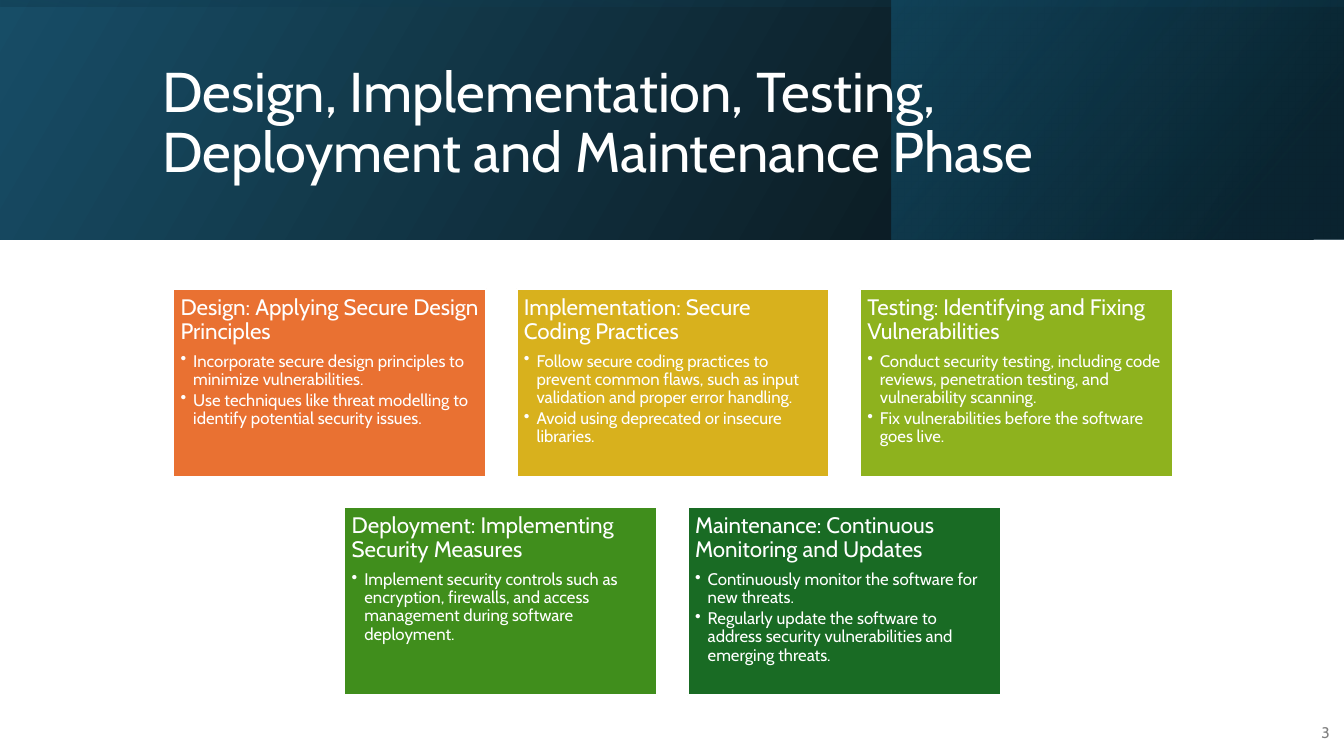
from pptx import Presentation
from pptx import util as u
from pptx.dml.color import RGBColor
from pptx.enum import shapes, text
from pptx.oxml.ns import qn
from lxml import etree

PX = 9525  # EMU in one px, 96 px to the inch
FONT = "Cabin"
COLORS = {
    "white": "FFFFFF", "grey": "808080", "black": "000000",
    "navy": "104862", "deep": "0B3041", "teal": "156082",
    "orange": "E97132", "gold": "D8B11D", "lime": "8EB21E",
    "green": "408E1C", "forest": "196B24",
}
PHASES = [
    [
        ("orange", "Design: Applying Secure Design Principles", [
            "Incorporate secure design principles to minimize vulnerabilities.",
            "Use techniques like threat modelling to identify potential security issues."]),
        ("gold", "Implementation: Secure Coding Practices", [
            "Follow secure coding practices to prevent common flaws, "
            "such as input validation and proper error handling.",
            "Avoid using deprecated or insecure libraries."]),
        ("lime", "Testing: Identifying and Fixing Vulnerabilities", [
            "Conduct security testing, including code reviews, "
            "penetration testing, and vulnerability scanning.",
            "Fix vulnerabilities before the software goes live."]),
    ],
    [
        ("green", "Deployment: Implementing Security Measures", [
            "Implement security controls such as encryption, firewalls, "
            "and access management during software deployment."]),
        ("forest", "Maintenance: Continuous Monitoring and Updates", [
            "Continuously monitor the software for new threats.",
            "Regularly update the software to address security vulnerabilities "
            "and emerging threats."]),
    ],
]


def color(name):
    return RGBColor.from_string(COLORS[name])


def px(*lengths):
    return [u.Emu(round(length * PX)) for length in lengths]


def add_rect(page, box):
    rect = page.shapes.add_shape(shapes.MSO_SHAPE.RECTANGLE, *px(*box))
    rect.shadow.inherit = False
    return rect


def add_text_box(page, box):
    frame = page.shapes.add_textbox(*px(*box)).text_frame
    frame.word_wrap = True
    frame.vertical_anchor = text.MSO_ANCHOR.MIDDLE
    return frame


def write(para, words, size, ink="white", align="LEFT", line=1.0, after=0, bullet=False):
    if bullet:
        props = para._p.get_or_add_pPr()
        indent = 12 * PX
        props.set("marL", str(indent))
        props.set("indent", str(-indent))
        etree.SubElement(props, qn("a:buChar")).set("char", "•")
    para.alignment = text.PP_ALIGN[align]
    para.line_spacing = line
    para.space_after = u.Pt(after)
    span = para.add_run()
    span.text = words
    span.font.size = u.Pt(size)
    span.font.name = FONT
    span.font.color.rgb = color(ink)


def add_gradient_rect(page, box, stops, angle, rotation=0):
    """Mirrored rectangle; stops are (position %, colour, opacity %), angle is clockwise."""
    rect = add_rect(page, box)
    rect.line.fill.background()
    rect.rotation = rotation
    rect._element.spPr.find(qn("a:xfrm")).set("flipH", "1")
    rect.fill.gradient()
    rect.fill.gradient_angle = 360 - angle
    for stop, (position, name, opacity) in zip(rect.fill.gradient_stops, stops):
        stop.position = position / 100
        stop.color.rgb = color(name)
    tones = rect._element.spPr.iter(qn("a:srgbClr"))
    for tone, (position, name, opacity) in zip(list(tones), stops):
        etree.SubElement(tone, qn("a:alpha")).set("val", str(opacity * 1000))


def add_header(page, box):
    left, top, width, height = box
    # Layered gradients
    add_gradient_rect(page, box, [(0, "black", 96), (100, "navy", 96)], 330)
    add_gradient_rect(page, (left + 849, top, 430, height),
                      [(19, "deep", 68), (100, "teal", 48)], 320)
    # A quarter turn about the band's centre swaps width and height
    shift = (width - height) / 2
    add_gradient_rect(page, (left + shift, top - shift, height, width),
                      [(23, "navy", 16), (99, "black", 45)], 350, rotation=270)
    # Title
    frame = add_text_box(page, (left + 145, top + 36, 1020, 165))
    write(frame.paragraphs[0],
          "Design, Implementation, Testing, Deployment and Maintenance Phase",
          40, line=0.9)


def add_card(page, box, fill, heading, points):
    card = add_rect(page, box)
    card.fill.solid()
    card.fill.fore_color.rgb = color(fill)
    card.line.color.rgb = color("white")
    card.line.width = u.Pt(1.5)
    frame = card.text_frame
    frame.word_wrap = True
    frame.vertical_anchor = text.MSO_ANCHOR.TOP
    inset, = px(7)
    frame.margin_left = frame.margin_top = inset
    frame.margin_right = frame.margin_bottom = inset
    write(frame.paragraphs[0], heading, 16, line=0.9, after=6)
    for point in points:
        write(frame.add_paragraph(), point, 12, line=0.9, after=2, bullet=True)


def add_card_grid(page, box):
    """Rows of equal cards, each row centred in the box."""
    left, top, width, height = box
    gap, columns = 29, max(len(row) for row in PHASES)
    card_width = (width - gap * (columns - 1)) // columns
    card_height = (height - gap * (len(PHASES) - 1)) // len(PHASES)
    for row_index, row in enumerate(PHASES):
        row_width = len(row) * (card_width + gap) - gap
        start = left + (width - row_width) // 2
        y = top + row_index * (card_height + gap)
        for column, (fill, heading, points) in enumerate(row):
            x = start + column * (card_width + gap)
            add_card(page, (x, y, card_width, card_height), fill, heading, points)


def add_page_number(page, box):
    frame = add_text_box(page, box)
    write(frame.paragraphs[0], "3", 11, ink="grey", align="RIGHT", after=6)


def main():
    deck = Presentation()
    deck.slide_width, deck.slide_height = px(1280, 720)
    page = deck.slides.add_slide(deck.slide_layouts[6])
    add_header(page, (0, 0, 1280, 228))
    add_page_number(page, (1229, 678, 47, 38))
    add_card_grid(page, (165, 275, 952, 387))
    deck.save("out.pptx")


if __name__ == "__main__":
    main()
